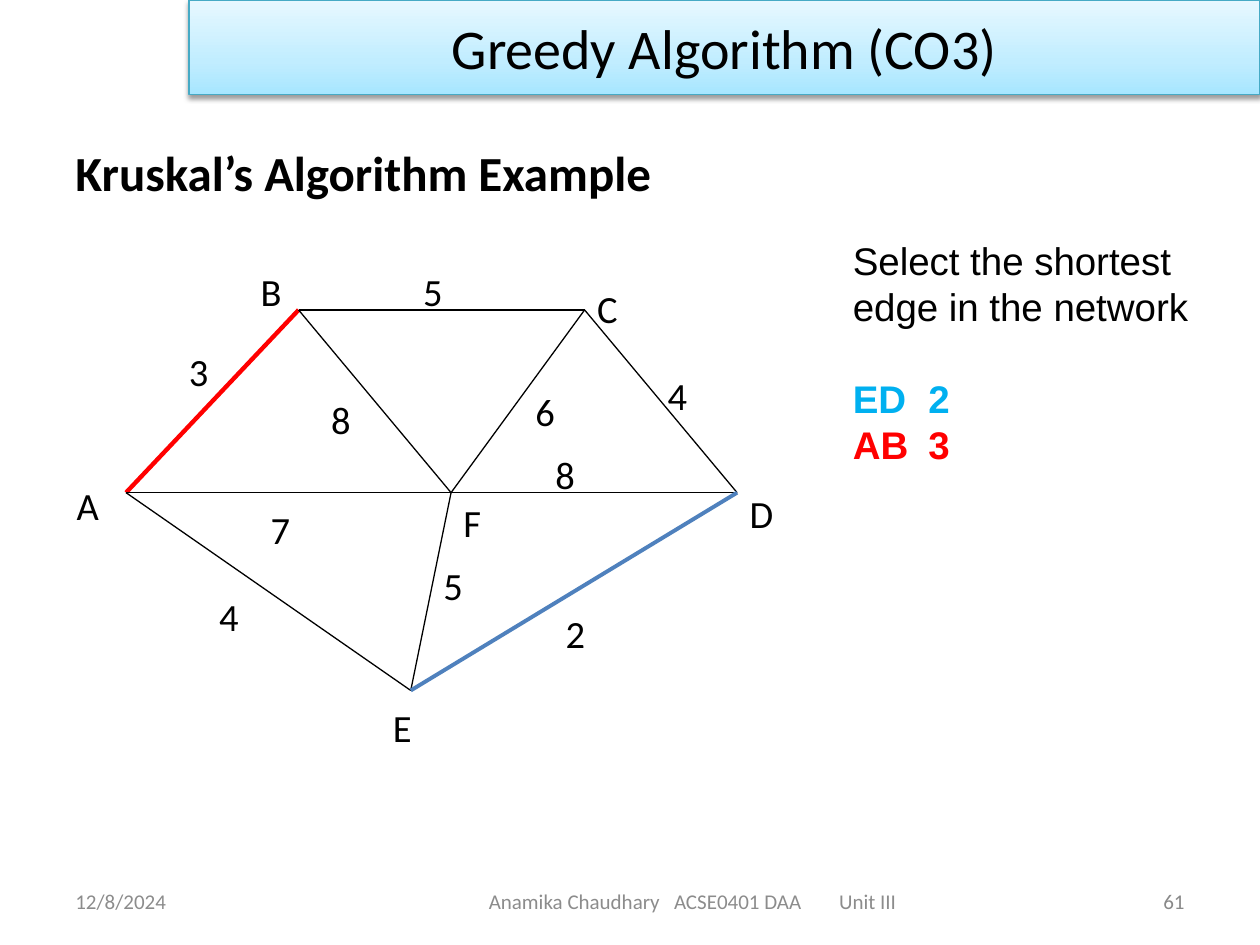
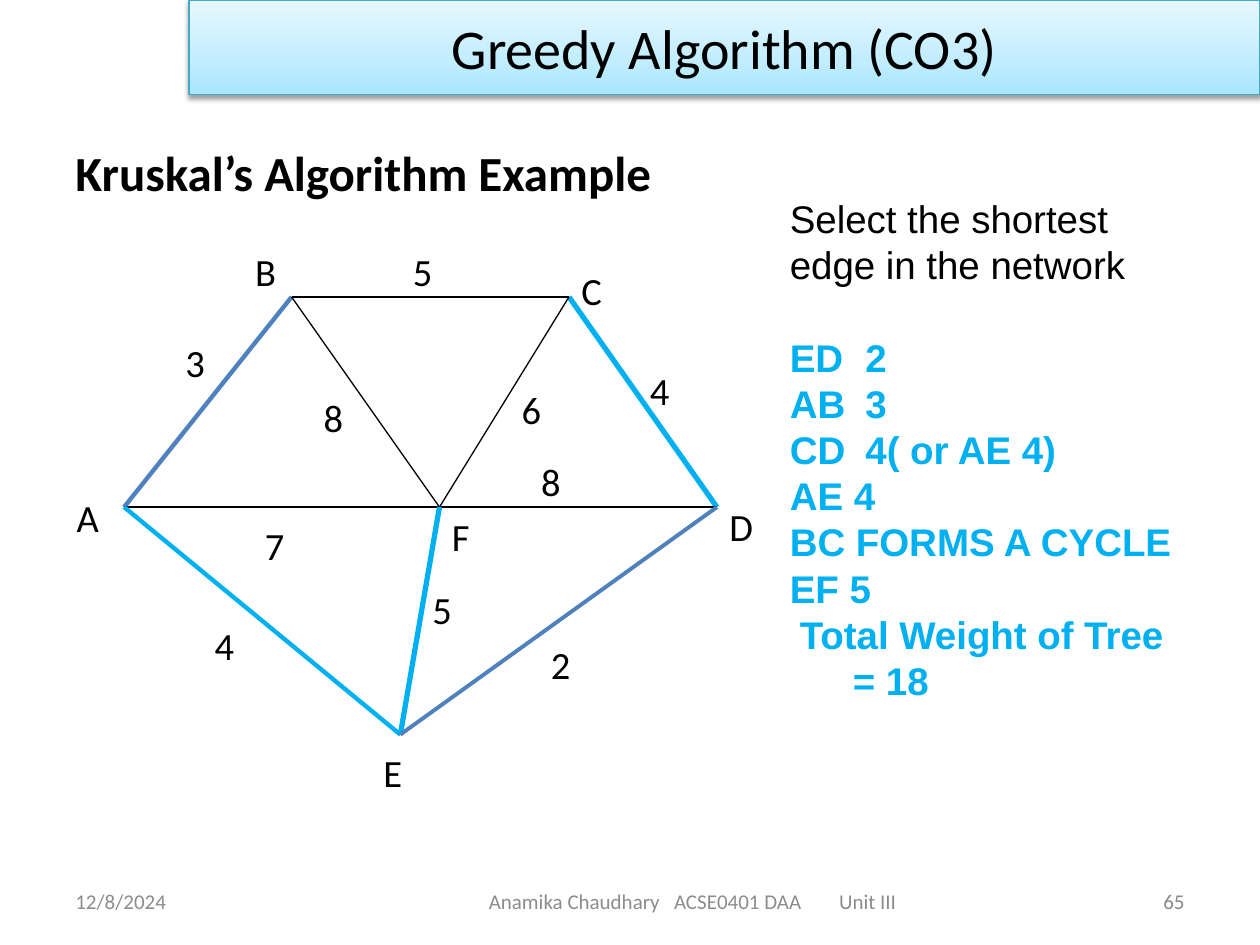
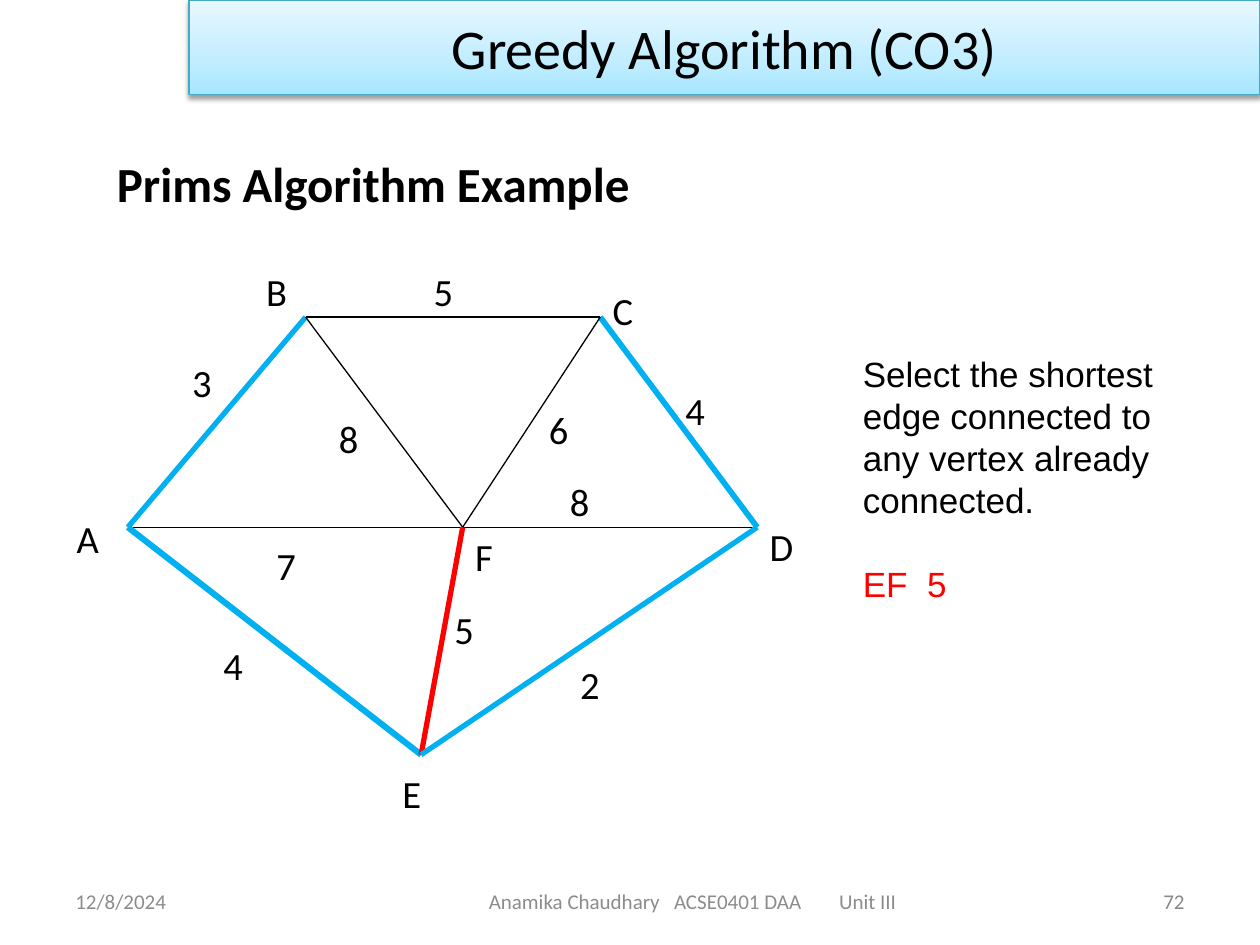
from copy import deepcopy

from lxml import etree
from pptx import Presentation
from pptx import util as u
from pptx.dml.color import RGBColor
from pptx.enum import shapes, text
from pptx.oxml import ns

COLORS = {
    "black": "000000", "red": "FF0000", "sky": "00B0F0", "steel": "4F81BD",
    "footer": "8C8C8C", "number": "898989", "band_line": "46AAC5",
}
BAND_STOPS = [(0, "A7E6FF"), (0.35, "C1EDFF"), (1, "E7F8FF")]
ALIGN = text.PP_ALIGN
MIDDLE = text.MSO_ANCHOR.MIDDLE

# The network, in inches from the top left of its drawing
NODES = {"A": (0.49, 1.83), "B": (1.86, 0.38), "C": (4.13, 0.38),
         "D": (5.34, 1.83), "E": (2.75, 3.40), "F": (3.07, 1.83)}
EDGES = ["AB", "BC", "CD", "AF", "FD", "BF", "FC", "AE", "EF", "ED"]
LABELS = [
    ("A", 0, 1.70), ("F", 3.07, 1.83), ("B", 1.46, 0), ("C", 4.13, 0.13),
    ("D", 5.34, 1.76), ("E", 2.51, 3.46), ("2", 3.88, 2.71), ("7", 1.54, 1.89),
    ("4", 1.13, 2.58), ("5", 2.91, 2.33), ("8", 2.02, 1.01), ("6", 3.64, 0.95),
    ("4", 4.69, 0.82), ("5", 2.75, 0), ("3", 0.89, 0.63), ("8", 3.80, 1.45),
]
GRAPH_LEFT = 0.51


def add_effects(shape):
    return etree.SubElement(shape._element.spPr, ns.qn("a:effectLst"))


def add_tabs(para, stops):
    tabs = etree.SubElement(para._p.get_or_add_pPr(), ns.qn("a:tabLst"))
    for stop in stops:
        etree.SubElement(tabs, ns.qn("a:tab"), pos=str(u.Inches(stop)), algn="l")


class SlideBuilder:
    """Holds the shared style and the slide being built."""

    def __init__(self, deck):
        self.deck = deck
        self.page = None

    def new_page(self, number, heading, left, top, width):
        self.page = self.deck.slides.add_slide(self.deck.slide_layouts[6])
        self.footer(number)
        self.band("Greedy Algorithm (CO3)")
        self.text(heading, left, top, width, 0.57, size=28, bold=True)

    def add_span(self, para, words, color="black", **formats):
        span = para.add_run()
        span.text = words
        size = formats.pop("size")
        for name, value in {"name": "Calibri", "size": u.Pt(size), **formats}.items():
            setattr(span.font, name, value)
        span.font.color.rgb = RGBColor.from_string(COLORS[color])

    def frame(self, left, top, width, height, parent=None, **formats):
        owner = parent or self.page
        box = owner.shapes.add_textbox(*map(u.Inches, (left, top, width, height)))
        for name, value in {"word_wrap": True, **formats}.items():
            setattr(box.text_frame, name, value)
        return box.text_frame

    def text(self, words, left, top, width, height, parent=None,
             align=ALIGN.LEFT, anchor=text.MSO_ANCHOR.TOP, **formats):
        frame = self.frame(left, top, width, height, parent, vertical_anchor=anchor)
        para = frame.paragraphs[0]
        para.alignment = align
        self.add_span(para, words, **formats)

    def footer(self, number):
        small = {"anchor": MIDDLE, "size": 12}
        self.text("12/8/2024", 0.5, 6.95, 2.33, 0.4, color="footer", **small)
        course = self.frame(2.75, 6.95, 5.5, 0.4, vertical_anchor=MIDDLE,
                            margin_left=u.Inches(1.13))
        para = course.paragraphs[0]
        add_tabs(para, [1.47, 2.78])
        self.add_span(para, "Anamika Chaudhary\tACSE0401 DAA\tUnit III",
                      color="footer", size=12)
        self.text(str(number), 7.17, 6.95, 2.33, 0.4, align=ALIGN.RIGHT,
                  color="number", **small)

    def band(self, words):
        box = self.page.shapes.add_shape(
            shapes.MSO_SHAPE.RECTANGLE, *map(u.Inches, (1.5, 0, 8.5, 0.75)))
        # Three-stop gradient, palest at the top
        box.fill.gradient()
        box.fill.gradient_angle = 90
        first = box._element.spPr.find(".//" + ns.qn("a:gs"))
        first.addnext(deepcopy(first))
        for stop, (position, color) in zip(box.fill.gradient_stops, BAND_STOPS):
            stop.position = position
            stop.color.rgb = RGBColor.from_string(color)
        box.line.color.rgb = RGBColor.from_string(COLORS["band_line"])
        box.line.width = u.Pt(0.75)
        # Soft shadow below
        shadow = etree.SubElement(
            add_effects(box), ns.qn("a:outerShdw"), blurRad=str(u.Pt(3.1)),
            dist=str(u.Pt(1.6)), dir="5400000", rotWithShape="0")
        tone = etree.SubElement(shadow, ns.qn("a:srgbClr"), val=COLORS["black"])
        etree.SubElement(tone, ns.qn("a:alpha"), val="38000")
        box.text_frame.vertical_anchor = MIDDLE
        para = box.text_frame.paragraphs[0]
        para.alignment = ALIGN.CENTER
        self.add_span(para, words, size=32)

    def edge(self, group, start, end, color="black", width=0.75):
        line = group.shapes.add_connector(
            shapes.MSO_CONNECTOR.STRAIGHT, *map(u.Inches, (*start, *end)))
        line.line.color.rgb = RGBColor.from_string(COLORS[color])
        line.line.width = u.Pt(width)
        add_effects(line)

    def graph(self, top, scale_x, scale_y, marked):
        def place(x, y):
            return GRAPH_LEFT + x * scale_x, top + y * scale_y

        group = self.page.shapes.add_group_shape()
        for start, end in EDGES:
            self.edge(group, place(*NODES[start]), place(*NODES[end]),
                      *marked.get(start + end, ()))
        for words, x, y in LABELS:
            self.text(words, *place(x, y), 0.49 * scale_x, 0.47, group, size=22)

    def steps(self, left, top, width, height, size, intro, picks, tab, total=None):
        """Instruction lines, a one-line gap, then the edges picked so far."""
        frame = self.frame(left, top, width, height)
        pitch = u.Pt(size * 1.2)
        rows = [(words, {}) for words in intro] + picks
        for index, (words, formats) in enumerate(rows):
            para = frame.paragraphs[0] if index == 0 else frame.add_paragraph()
            para.line_spacing = pitch
            if index == len(intro):
                para.space_before = pitch
            if "\t" in words:
                add_tabs(para, [tab])
            if words == total:
                indents = para._p.get_or_add_pPr()
                indents.set("marL", str(u.Inches(0.5)))
                indents.set("indent", str(u.Inches(-0.42)))
            self.add_span(para, words, name="Arial", size=size, **formats)


def main():
    deck = Presentation()
    deck.slide_width, deck.slide_height = u.Inches(10), u.Inches(7.5)
    builder = SlideBuilder(deck)
    kruskal = ("Kruskal’s Algorithm Example", 0.5, 1.08, 6.08)
    shortest = ["Select the shortest", "edge in the network"]
    picked = {"color": "sky", "bold": True}

    # Kruskal: second edge chosen
    builder.new_page(61, *kruskal)
    builder.graph(2.08, 1, 1, {"AB": ("red", 2.5), "ED": ("steel", 2.25)})
    builder.steps(6.67, 1.83, 3.08, 2.62, 22, shortest,
                  [("ED\t2", picked), ("AB\t3", {"color": "red", "bold": True})], 0.6)

    # Kruskal: finished tree
    builder.new_page(65, *kruskal)
    builder.graph(1.92, 0.97, 1.15, {
        "AB": ("steel", 2.5), "CD": ("sky", 3), "AE": ("sky", 2.5),
        "EF": ("sky", 3), "ED": ("steel", 2.25)})
    total = "Total Weight of Tree = 18"
    tree = ["ED\t2", "AB\t3", "CD\t4( or AE 4)", "AE 4", "BC FORMS A CYCLE",
            "EF 5", total]
    builder.steps(6.17, 1.5, 3.25, 4.91, 22, shortest,
                  [(words, picked) for words in tree], 0.6, total)

    # Prim: last edge chosen
    builder.new_page(72, "Prims Algorithm Example", 0.83, 1.17, 5.66)
    builder.graph(2.08, 1.03, 1.15, {
        "AB": ("sky", 3), "CD": ("sky", 3.25), "AE": ("sky", 3.5),
        "EF": ("red", 3), "ED": ("sky", 3)})
    builder.steps(6.75, 2.75, 3, 3.13, 20,
                  ["Select the shortest", "edge connected to",
                   "any vertex already", "connected."],
                  [("EF\t5", {"color": "red"})], 0.51)

    deck.save("out.pptx")


if __name__ == "__main__":
    main()
